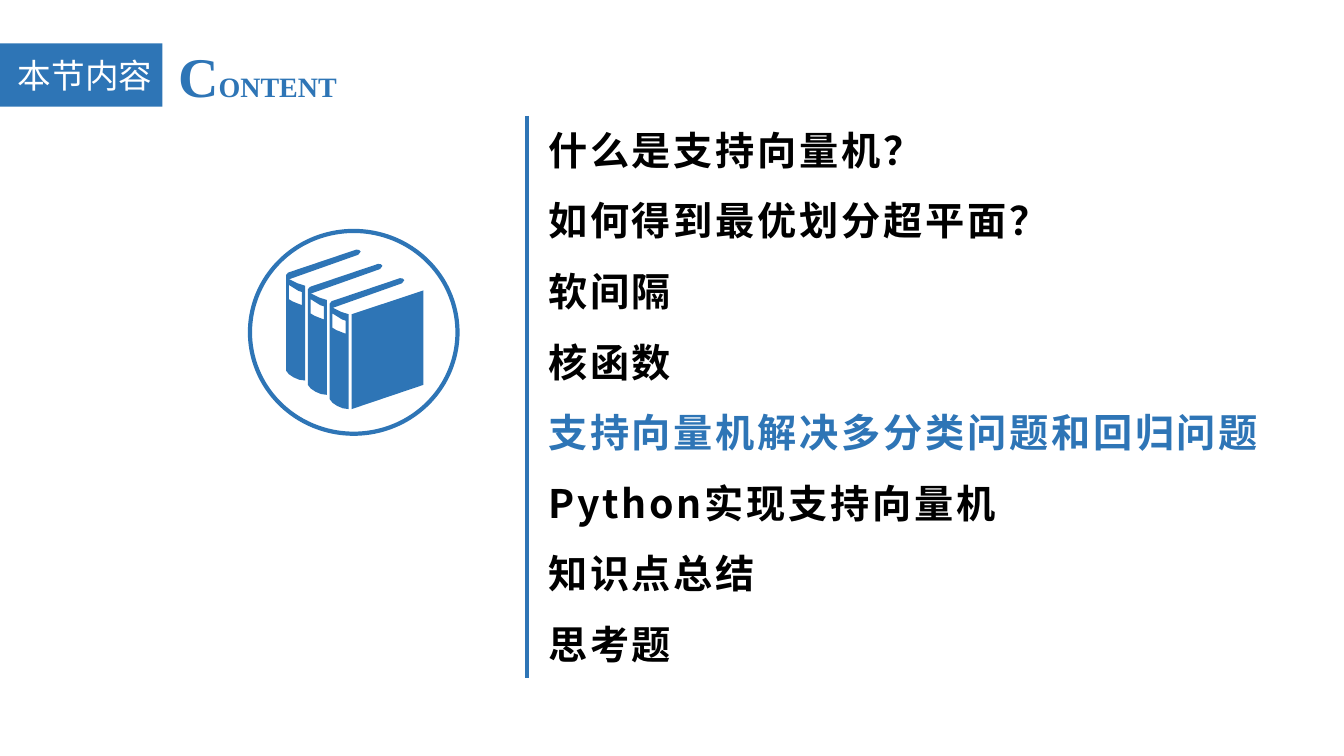
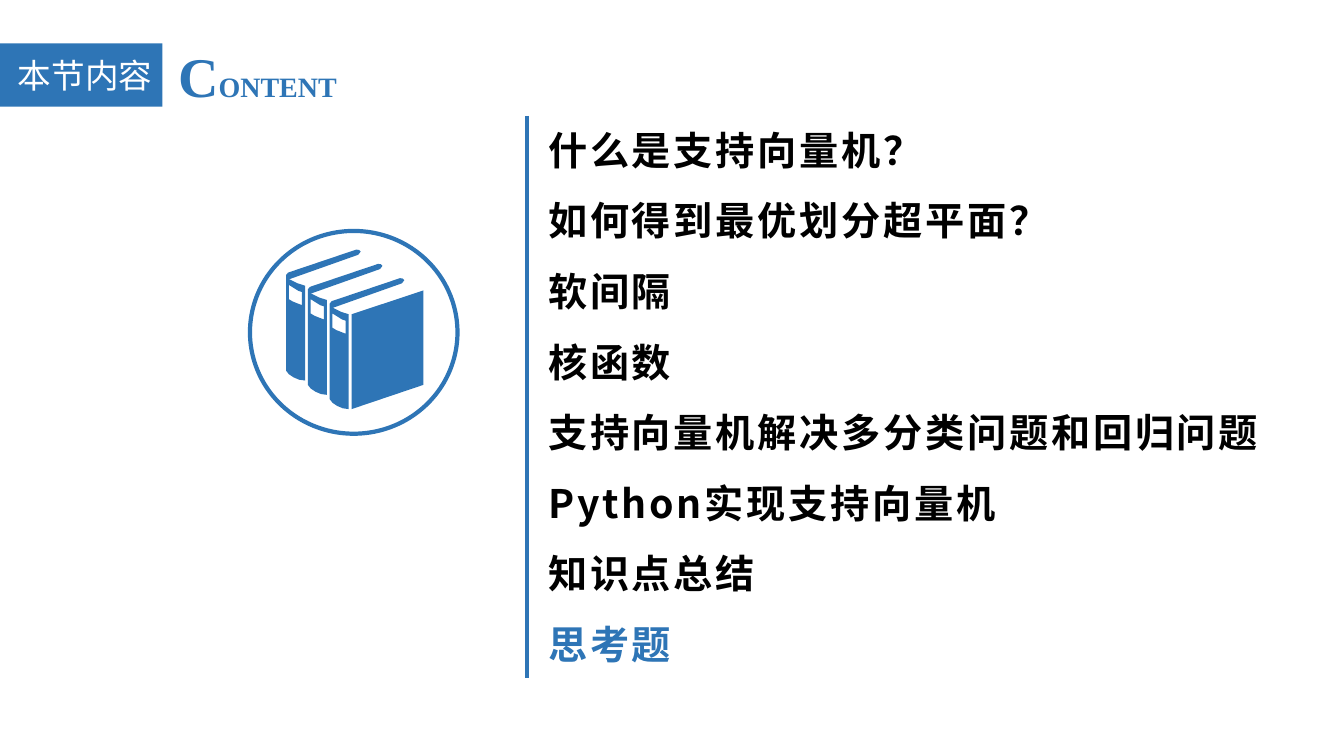
from lxml import etree
from pptx import Presentation
from pptx.dml.color import RGBColor
from pptx.enum.lang import MSO_LANGUAGE_ID
from pptx.enum.shapes import MSO_CONNECTOR, MSO_SHAPE
from pptx.enum.text import MSO_ANCHOR, MSO_AUTO_SIZE, PP_ALIGN
from pptx.oxml.ns import qn
from pptx.util import Cm, Pt

CHINESE = MSO_LANGUAGE_ID.SIMPLIFIED_CHINESE
STRAIGHT = MSO_CONNECTOR.STRAIGHT
OVAL = MSO_SHAPE.OVAL
MIDDLE, TOP = MSO_ANCHOR.MIDDLE, MSO_ANCHOR.TOP
NO_AUTOFIT = MSO_AUTO_SIZE.NONE
RIGHT, LEFT = PP_ALIGN.RIGHT, PP_ALIGN.LEFT

# Content
TITLE = "本节内容"
CAPTION = [("C", 40), ("ONTENT", 20)]
TOPICS = [
    "什么是支持向量机？",
    "如何得到最优划分超平面？",
    "软间隔",
    "核函数",
    "支持向量机解决多分类问题和回归问题",
    "Python实现支持向量机",
    "知识点总结",
    "思考题",
]
CURRENT_TOPICS = ["支持向量机解决多分类问题和回归问题", "思考题"]

# Style
COLORS = {"blue": "2E75B6", "white": "FFFFFF", "black": "000000"}
TITLE_FONT, CAPTION_FONT, TOPIC_FONT = "Calibri", "Times New Roman", "Noto Sans CJK SC"

# Book icon outlines in centimetres; the front book is repeated to the back
SPINE = [
    (10.19, 7.06), (10.15, 7.02), (10.08, 7.01), (8.36, 7.59), (8.31, 7.65),
    (8.31, 10.06), (8.38, 10.15), (8.5, 10.23), (8.64, 10.29), (8.79, 10.31),
    (8.79, 7.92), (8.6, 7.86), (8.38, 7.75), (8.41, 7.75), (10.13, 7.14),
]
LABEL = [(8.71, 8.08), (8.71, 8.41), (8.48, 8.32), (8.38, 8.26), (8.38, 7.9), (8.62, 8.05)]
COVER = [(8.86, 7.92), (8.86, 10.31), (10.67, 9.7), (10.67, 7.32)]
BOOK_COUNT = 3
BOOK_STEP = (0.55, 0.36)


def color(name):
    return RGBColor.from_string(COLORS[name])


def place(shape, left, top, width, height):
    shape.left, shape.top = Cm(left), Cm(top)
    shape.width, shape.height = Cm(width), Cm(height)


def style_paragraph(paragraph, name, color_name, size=None, bold=False):
    font = paragraph.font
    font.name, font.bold = name, bold
    font.color.rgb = color(color_name)
    if size:
        font.size = Pt(size)


def add_title(slide):
    title = slide.shapes.title
    place(title, 0, 1.09, 4.09, 1.6)
    title.fill.solid()
    title.fill.fore_color.rgb = color("blue")
    frame = title.text_frame
    frame.text = TITLE
    frame.auto_size, frame.vertical_anchor = NO_AUTOFIT, MIDDLE
    frame.margin_left = 0
    frame.paragraphs[0].alignment = RIGHT
    style_paragraph(frame.paragraphs[0], TITLE_FONT, "white", 24)


def add_caption(slide):
    box = slide.shapes.add_textbox(Cm(4.24), Cm(0.91), Cm(7.14), Cm(1.96))
    box.text_frame.word_wrap = True
    paragraph = box.text_frame.paragraphs[0]
    style_paragraph(paragraph, CAPTION_FONT, "blue", bold=True)
    for text, size in CAPTION:
        run = paragraph.add_run()
        run.text = text
        run.font.size = Pt(size)


def add_divider(slide):
    line = slide.shapes.add_connector(STRAIGHT, Cm(13.28), Cm(2.92), Cm(13.28), Cm(17.09))
    line.line.color.rgb = color("blue")
    line.line.width = Pt(3)
    etree.SubElement(line._element.spPr, qn("a:effectLst"))


def add_book_icon(slide):
    ring = slide.shapes.add_shape(OVAL, Cm(6.3), Cm(5.82), Cm(5.23), Cm(5.11))
    ring.shadow.inherit = False
    ring.fill.background()
    ring.line.color.rgb = color("blue")
    ring.line.width = Pt(3)

    contours = [COVER]
    for index in range(BOOK_COUNT):
        for outline in (SPINE, LABEL):
            contours.append([(x - index * BOOK_STEP[0], y - index * BOOK_STEP[1])
                             for x, y in outline])
    contours = [[(Cm(x), Cm(y)) for x, y in contour] for contour in contours]
    builder = slide.shapes.build_freeform(*contours[0][0])
    for index, contour in enumerate(contours):
        if index:
            builder.move_to(*contour[0])
        builder.add_line_segments(contour[1:], close=True)
    books = builder.convert_to_shape()
    books.shadow.inherit = False
    books.fill.solid()
    books.fill.fore_color.rgb = color("blue")
    books.line.fill.background()


def add_topics(slide, current):
    body = slide.placeholders[1]
    place(body, 13.56, 2.46, 19.05, 14.55)
    frame = body.text_frame
    frame.text = "\n".join(TOPICS)
    frame.auto_size, frame.vertical_anchor = NO_AUTOFIT, TOP
    for topic, paragraph in zip(TOPICS, frame.paragraphs):
        paragraph.alignment = LEFT
        paragraph.line_spacing = Pt(50.4)
        paragraph.space_before = Pt(0)
        properties = paragraph._p.get_or_add_pPr()
        properties.set("marL", "0")
        properties.set("indent", "0")
        etree.SubElement(properties, qn("a:buNone"))
        style_paragraph(paragraph, TOPIC_FONT, "blue" if topic == current else "black", 28, True)
        paragraph.font.language_id = CHINESE
        # Letter spacing and the East Asian typeface
        defaults = properties.find(qn("a:defRPr"))
        defaults.set("spc", "200")
        etree.SubElement(defaults, qn("a:ea"), typeface=TOPIC_FONT)


def main():
    presentation = Presentation()
    presentation.slide_width, presentation.slide_height = Cm(33.87), Cm(19.05)
    for current in CURRENT_TOPICS:
        slide = presentation.slides.add_slide(presentation.slide_layouts[1])
        add_title(slide)
        add_caption(slide)
        add_divider(slide)
        add_book_icon(slide)
        add_topics(slide, current)
    presentation.save("out.pptx")


if __name__ == "__main__":
    main()
